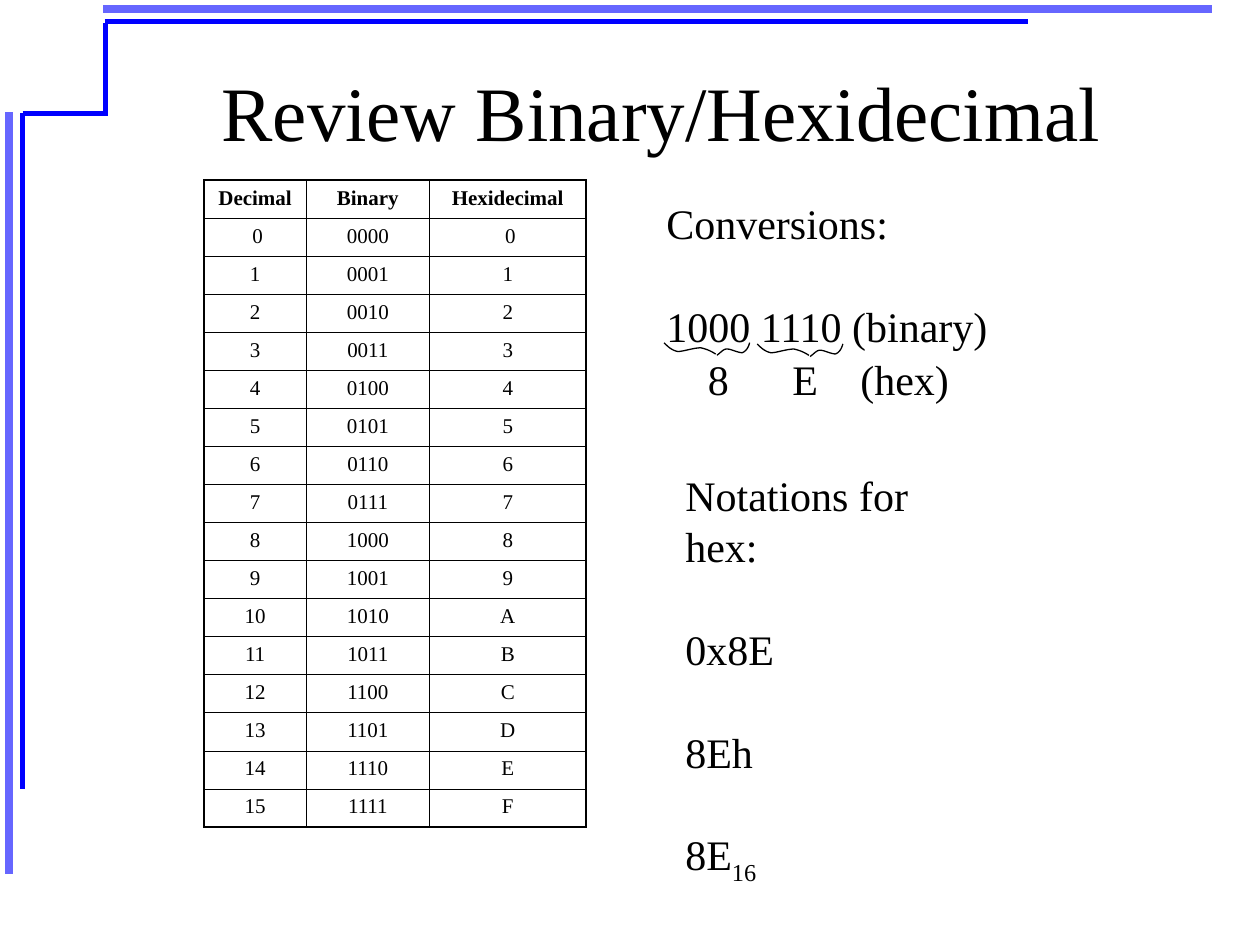
from lxml.etree import SubElement
from pptx import Presentation
from pptx.dml.color import RGBColor
from pptx.enum.shapes import MSO_CONNECTOR
from pptx.enum.text import MSO_ANCHOR, MSO_AUTO_SIZE, PP_ALIGN
from pptx.oxml import parse_xml
from pptx.oxml.ns import nsdecls, qn
from pptx.util import Inches, Pt

COLORS = {"text": "000000", "blue": "0000FF", "light_blue": "6666FF"}
FONT = "Times New Roman"
THICK, THIN = 1.08, 0.45

FRAME_LINES = [
    (0.07, 0.89, 0.07, 6.94, "light_blue", 4.5),
    (0.82, 0.07, 9.62, 0.07, "light_blue", 4.5),
    (0.18, 0.9, 0.18, 6.26, "blue", 3),
    (0.83, 0.17, 8.16, 0.17, "blue", 3),
    (0.18, 0.9, 0.85, 0.9, "blue", 3),
    (0.84, 0.92, 0.84, 0.18, "blue", 3),
]

BRACE_LEFT = [(0, 0), (0.03, 0.03), (0.06, 0.06), (0.11, 0.07), (0.15, 0.07),
              (0.24, 0.04), (0.29, 0.04), (0.34, 0.05), (0.38, 0.07), (0.41, 0.09)]
BRACE_RIGHT = [(0.68, 0), (0.67, 0.04), (0.65, 0.07), (0.62, 0.08), (0.59, 0.08),
               (0.53, 0.05), (0.5, 0.05), (0.47, 0.05), (0.45, 0.08), (0.42, 0.1)]


def rgb(name):
    return RGBColor.from_string(COLORS[name])


def add_run(p, text, size, bold=False):
    r = p.add_run()
    r.text = text
    r.font.name = FONT
    r.font.size = Pt(size)
    r.font.bold = bold
    r.font.color.rgb = rgb("text")
    return r


def add_line(s, x1, y1, x2, y2, color, width):
    line = s.shapes.add_connector(
        MSO_CONNECTOR.STRAIGHT, Inches(x1), Inches(y1), Inches(x2), Inches(y2))
    line.line.color.rgb = rgb(color)
    line.line.width = Pt(width)
    SubElement(line._element.spPr, qn("a:effectLst"))


def set_title(s, text):
    sp = s.shapes.title
    sp.left, sp.top, sp.width, sp.height = map(Inches, (1, 0.25, 8.5, 1.25))
    tf = sp.text_frame
    tf.vertical_anchor = MSO_ANCHOR.MIDDLE
    p = tf.paragraphs[0]
    p.alignment = PP_ALIGN.CENTER
    add_run(p, text, 44)


def set_borders(cell, **widths):
    tc_pr = cell._tc.get_or_add_tcPr()
    for i, (side, width) in enumerate(widths.items()):
        tc_pr.insert(i, parse_xml(
            f'<a:ln{side} {nsdecls("a")} w="{Pt(width)}"><a:solidFill>'
            f'<a:srgbClr val="{COLORS["text"]}"/></a:solidFill></a:ln{side}>'))


def add_number_table(s):
    rows = [("Decimal", "Binary", "Hexidecimal"), (" 0", "0000", " 0")]
    rows += [(f"{n}", f"{n:04b}", f"{n:X}") for n in range(1, 16)]
    widths = (0.81, 0.98, 1.24)
    table = s.shapes.add_table(
        len(rows), len(widths), Inches(1.62), Inches(1.43),
        Inches(sum(widths)), Inches(5.14)).table
    table.first_row = table.horz_banding = False
    for column, width in zip(table.columns, widths):
        column.width = Inches(width)
    last_row, last_col = len(rows) - 1, len(widths) - 1
    for i, row in enumerate(rows):
        for j, text in enumerate(row):
            cell = table.cell(i, j)
            cell.fill.background()
            set_borders(cell,
                        L=THICK if j == 0 else THIN,
                        R=THICK if j == last_col else THIN,
                        T=THICK if i == 0 else THIN,
                        B=THICK if i == last_row else THIN)
            p = cell.text_frame.paragraphs[0]
            p.alignment = PP_ALIGN.CENTER
            p.space_before = Pt(3)
            add_run(p, text, 12, bold=i == 0)


def add_text(s, x, y, w, h, lines):
    sp = s.shapes.add_textbox(Inches(x), Inches(y), Inches(w), Inches(h))
    tf = sp.text_frame
    tf.word_wrap = False
    tf.auto_size = MSO_AUTO_SIZE.SHAPE_TO_FIT_TEXT
    for i, (text, gap) in enumerate(lines):
        p = tf.paragraphs[0] if i == 0 else tf.add_paragraph()
        p.space_before = Pt(gap)
        add_run(p, text, 24)
    return tf.paragraphs


def set_tabs(p, stops):
    tabs = SubElement(p._p.get_or_add_pPr(), qn("a:tabLst"))
    for stop in stops:
        SubElement(tabs, qn("a:tab"), pos=str(Inches(stop)), algn="l")


def bezier(p0, p1, p2, p3, t):
    u = 1 - t
    return tuple(u**3 * a + 3 * u * u * t * b + 3 * u * t * t * c + t**3 * d
                 for a, b, c, d in zip(p0, p1, p2, p3))


def add_curve(s, x, y, controls, steps=8):
    points = [controls[0]]
    for i in range(0, len(controls) - 1, 3):
        points += [bezier(*controls[i:i + 4], k / steps) for k in range(1, steps + 1)]
    points = [(Inches(x + dx), Inches(y + dy)) for dx, dy in points]
    builder = s.shapes.build_freeform(*points[0])
    builder.add_line_segments(points[1:], close=False)
    sp = builder.convert_to_shape()
    sp.shadow.inherit = False
    sp.fill.background()
    sp.line.color.rgb = rgb("text")
    sp.line.width = Pt(0.75)


def main():
    prs = Presentation()
    prs.slide_width, prs.slide_height = Inches(10), Inches(7.5)
    s = prs.slides.add_slide(prs.slide_layouts[5])
    for line in FRAME_LINES:
        add_line(s, *line)
    set_title(s, "Review Binary/Hexidecimal")
    add_number_table(s)

    conversions = add_text(s, 5.19, 1.52, 2.77, 1.7, [
        ("Conversions:", 0), ("1000 1110 (binary)", 30), ("\t8\tE\t(hex)", 1.2)])
    set_tabs(conversions[-1], (0.33, 1, 1.54))
    for x, y in ((5.27, 2.72), (6.01, 2.73)):
        add_curve(s, x, y, BRACE_LEFT)
        add_curve(s, x, y, BRACE_RIGHT)

    notations = add_text(s, 5.34, 3.68, 2.62, 3.41, [
        ("Notations for hex:", 0), ("0x8E", 30), ("8Eh", 30), ("8E", 30)])
    subscript = add_run(notations[-1], "16", 24)
    subscript.font._element.set("baseline", "-25000")

    prs.save("out.pptx")


if __name__ == "__main__":
    main()
